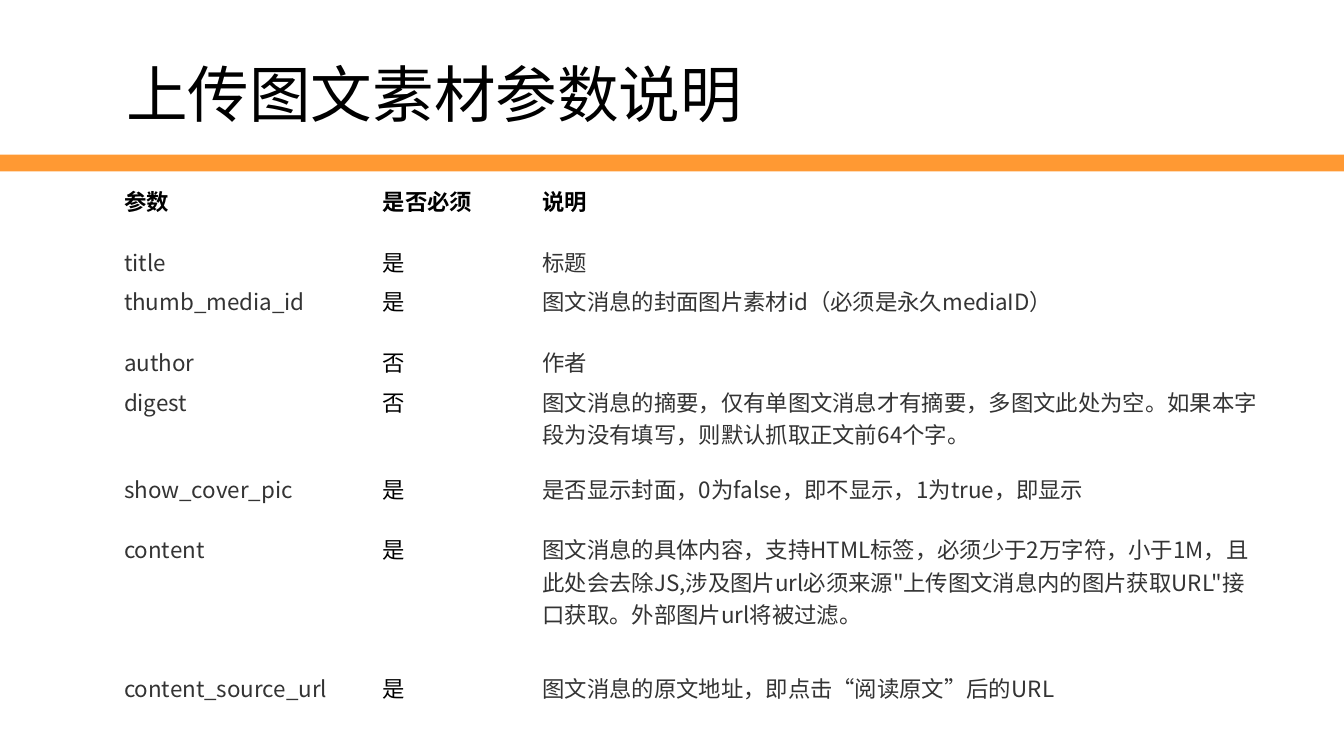
from pptx import Presentation
from pptx.dml.color import RGBColor
from pptx.enum.shapes import MSO_SHAPE
from pptx.enum.text import MSO_ANCHOR
from pptx.util import Pt

RECT = MSO_SHAPE.RECTANGLE
MIDDLE = MSO_ANCHOR.MIDDLE
CJK, LATIN = "Noto Sans CJK SC", "Calibri"
BLACK, GREY, ORANGE = "000000", "333333", "FF9933"

COL_WIDTHS = [185, 114, 524]
ROW_HEIGHTS = [43.4, 28.4, 43.4, 28.4, 62, 43.4, 99, 43.4]
HEADER = ("参数", "是否必须", "说明")
PARAMS = [
    ("title", "是", "标题"),
    ("thumb_media_id", "是", "图文消息的封面图片素材id（必须是永久mediaID）"),
    ("author", "否", "作者"),
    ("digest", "否", "图文消息的摘要，仅有单图文消息才有摘要，多图文此处为空。"
                     "如果本字段为没有填写，则默认抓取正文前64个字。"),
    ("show_cover_pic", "是", "是否显示封面，0为false，即不显示，1为true，即显示"),
    ("content", "是", "图文消息的具体内容，支持HTML标签，必须少于2万字符，小于1M，"
                      "且此处会去除JS,涉及图片url必须来源\"上传图文消息内的图片获取URL\"接口获取。"
                      "外部图片url将被过滤。"),
    ("content_source_url", "是", "图文消息的原文地址，即点击“阅读原文”后的URL"),
]


def rgb(color):
    return RGBColor.from_string(color)


def write(tf, text, size, font, color, bold=False):
    p = tf.paragraphs[0]
    p.text = text
    p.font.size = Pt(size)
    p.font.name = font
    p.font.bold = bold
    p.font.color.rgb = rgb(color)
    return p


def add_bar(s, x, y, w, h, color):
    sp = s.shapes.add_shape(RECT, Pt(x), Pt(y), Pt(w), Pt(h))
    sp.shadow.inherit = False
    sp.fill.solid()
    sp.fill.fore_color.rgb = rgb(color)
    sp.line.fill.background()


def add_title(s, text, x, y, w, h):
    tf = s.shapes.add_textbox(Pt(x), Pt(y), Pt(w), Pt(h)).text_frame
    tf.word_wrap = True
    tf.vertical_anchor = MIDDLE
    p = write(tf, text, 44, CJK, BLACK)
    p.line_spacing = 0.9


def add_param_table(s, x, y):
    rows = [HEADER] + PARAMS
    table = s.shapes.add_table(len(rows), len(HEADER), Pt(x), Pt(y),
                               Pt(sum(COL_WIDTHS)), Pt(sum(ROW_HEIGHTS))).table
    table.first_row = table.horz_banding = False
    for col, width in zip(table.columns, COL_WIDTHS):
        col.width = Pt(width)
    for i, (row, height) in enumerate(zip(table.rows, ROW_HEIGHTS)):
        row.height = Pt(height)
        for j, cell in enumerate(row.cells):
            cell.fill.background()
            cell.margin_left = cell.margin_right = Pt(5.6)
            cell.margin_top = cell.margin_bottom = Pt(2.8)
            # Header and the "required" column are black, the rest grey
            plain = i == 0 or j == 1
            write(cell.text_frame, rows[i][j], 16, LATIN if plain else CJK,
                  BLACK if plain else GREY, bold=i == 0)


def main():
    prs = Presentation()
    prs.slide_width, prs.slide_height = Pt(960), Pt(540)
    s = prs.slides.add_slide(prs.slide_layouts[6])

    # Title and divider
    add_bar(s, 0, 110.4, 960, 12, ORANGE)
    add_title(s, "上传图文素材参数说明", 83, 42.5, 480, 54)

    # Parameter table
    add_param_table(s, 83, 129)

    prs.save("out.pptx")


if __name__ == "__main__":
    main()
